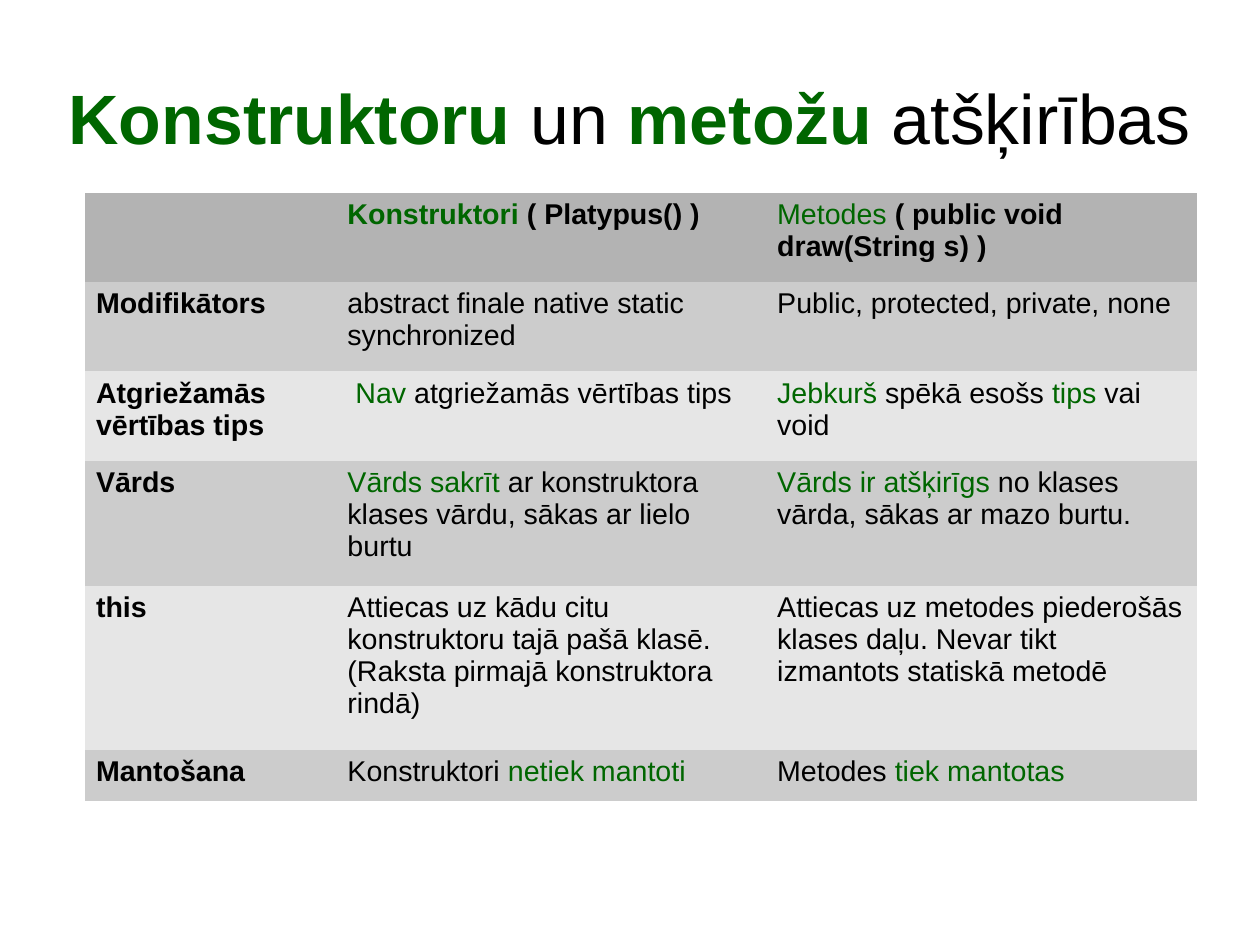
from pptx import Presentation
from pptx.dml.color import RGBColor
from pptx.enum.text import MSO_ANCHOR, PP_ALIGN
from pptx.oxml.ns import qn
from pptx.util import Inches, Pt

PLAIN, BOLD, GREEN, GREEN_BOLD = "plain", "bold", "green", "green bold"

TITLE = [("Konstruktoru", GREEN_BOLD), (" un ", PLAIN),
         ("metožu", GREEN_BOLD), (" atšķirības", PLAIN)]

# Each row: height, fill name, then the runs of its three cells.
ROWS = [
    (0.78, "header",
     [],
     [("Konstruktori", GREEN_BOLD), (" ( Platypus() )", BOLD)],
     [("Metodes", GREEN), (" ( public void draw(String s) )", BOLD)]),
    (0.78, "dark",
     [("Modifikātors", BOLD)],
     [("abstract finale native static synchronized", PLAIN)],
     [("Public, protected, private, none", PLAIN)]),
    (0.78, "light",
     [("Atgriežamās vērtības tips", BOLD)],
     [(" ", PLAIN), ("Nav", GREEN), (" atgriežamās vērtības tips", PLAIN)],
     [("Jebkurš", GREEN), (" spēkā esošs ", PLAIN), ("tips", GREEN), (" vai void", PLAIN)]),
    (1.1, "dark",
     [("Vārds", BOLD)],
     [("Vārds sakrīt", GREEN),
      (" ar konstruktora klases vārdu, sākas ar lielo burtu", PLAIN)],
     [("Vārds ir atšķirīgs", GREEN), (" no klases vārda, sākas ar mazo burtu.", PLAIN)]),
    (1.43, "light",
     [("this", BOLD)],
     [("Attiecas uz kādu citu konstruktoru tajā pašā klasē. "
       "(Raksta pirmajā konstruktora rindā)", PLAIN)],
     [("Attiecas uz metodes piederošās klases daļu. "
       "Nevar tikt izmantots statiskā metodē", PLAIN)]),
    (0.45, "dark",
     [("Mantošana", BOLD)],
     [("Konstruktori ", PLAIN), ("netiek mantoti", GREEN)],
     [("Metodes ", PLAIN), ("tiek mantotas", GREEN)]),
]
COLUMN_WIDTHS = [2.2, 3.76, 3.77]

# The page is 28 by 21 centimetres.
CENTIMETRES_PER_INCH = 2.54
SLIDE_WIDTH = 28 / CENTIMETRES_PER_INCH
SLIDE_HEIGHT = 21 / CENTIMETRES_PER_INCH

THEME = {
    "font": "Arial", "title_size": 44, "table_size": 18,
    "text": "000000", "accent": "006600",
    "header": "B3B3B3", "dark": "CCCCCC", "light": "E6E6E6",
}
NO_TABLE_STYLE = "{2D5ABB26-0587-4C30-8999-92F81FD0307C}"


def color(name):
    return RGBColor.from_string(THEME[name])


def write_text(frame, runs, size, align=PP_ALIGN.LEFT, anchor=MSO_ANCHOR.TOP,
               margins=(0, 0)):
    """Fill a text frame with (text, style) runs; margins are side and top."""
    side, top = map(Inches, margins)
    frame.margin_left = frame.margin_right = side
    frame.margin_top = frame.margin_bottom = top
    frame.word_wrap = True
    frame.vertical_anchor = anchor
    paragraph = frame.paragraphs[0]
    paragraph.alignment = align
    paragraph.font.size = Pt(size)
    for text, style in runs:
        run = paragraph.add_run()
        run.text = text
        run.font.name = THEME["font"]
        run.font.size = Pt(size)
        run.font.bold = "bold" in style
        run.font.color.rgb = color("accent" if "green" in style else "text")


def add_title(slide):
    box = slide.shapes.add_textbox(Inches(0.55), Inches(0.33), Inches(9.92), Inches(1.38))
    write_text(box.text_frame, TITLE, THEME["title_size"],
               align=PP_ALIGN.CENTER, anchor=MSO_ANCHOR.MIDDLE)


def add_comparison(slide):
    table = slide.shapes.add_table(
        len(ROWS), len(COLUMN_WIDTHS), Inches(0.74), Inches(1.69),
        Inches(sum(COLUMN_WIDTHS)), Inches(sum(row[0] for row in ROWS))).table
    table.first_row = table.horz_banding = False
    table._tbl.tblPr.find(qn("a:tableStyleId")).text = NO_TABLE_STYLE
    for column, width in zip(table.columns, COLUMN_WIDTHS):
        column.width = Inches(width)
    for row, (height, fill, *contents) in zip(table.rows, ROWS):
        row.height = Inches(height)
        for cell, runs in zip(row.cells, contents):
            cell.fill.solid()
            cell.fill.fore_color.rgb = color(fill)
            write_text(cell.text_frame, runs, THEME["table_size"], margins=(0.1, 0.05))


def main():
    presentation = Presentation()
    presentation.slide_width = Inches(SLIDE_WIDTH)
    presentation.slide_height = Inches(SLIDE_HEIGHT)
    slide = presentation.slides.add_slide(presentation.slide_layouts[6])
    add_title(slide)
    add_comparison(slide)
    presentation.save("out.pptx")


if __name__ == "__main__":
    main()
